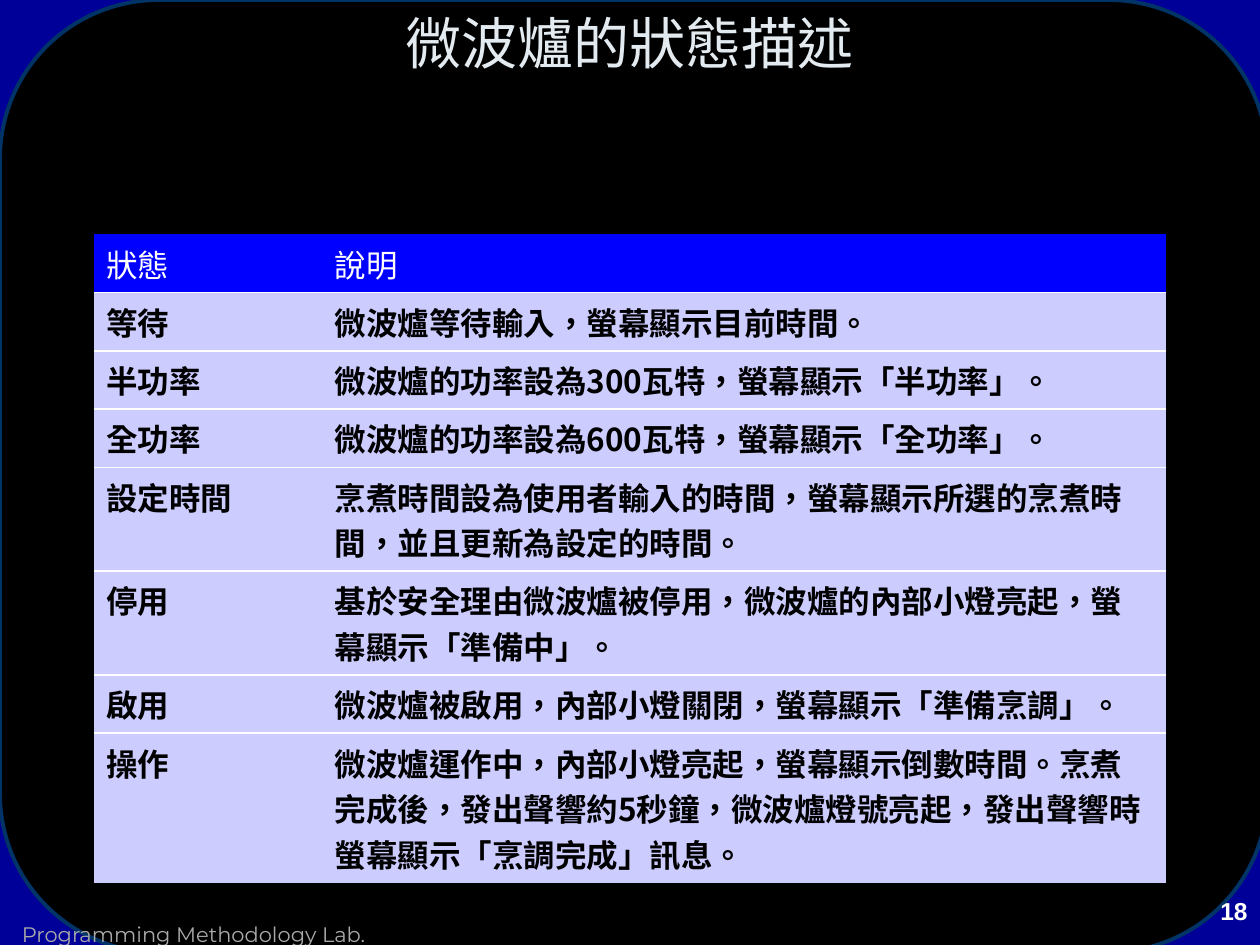
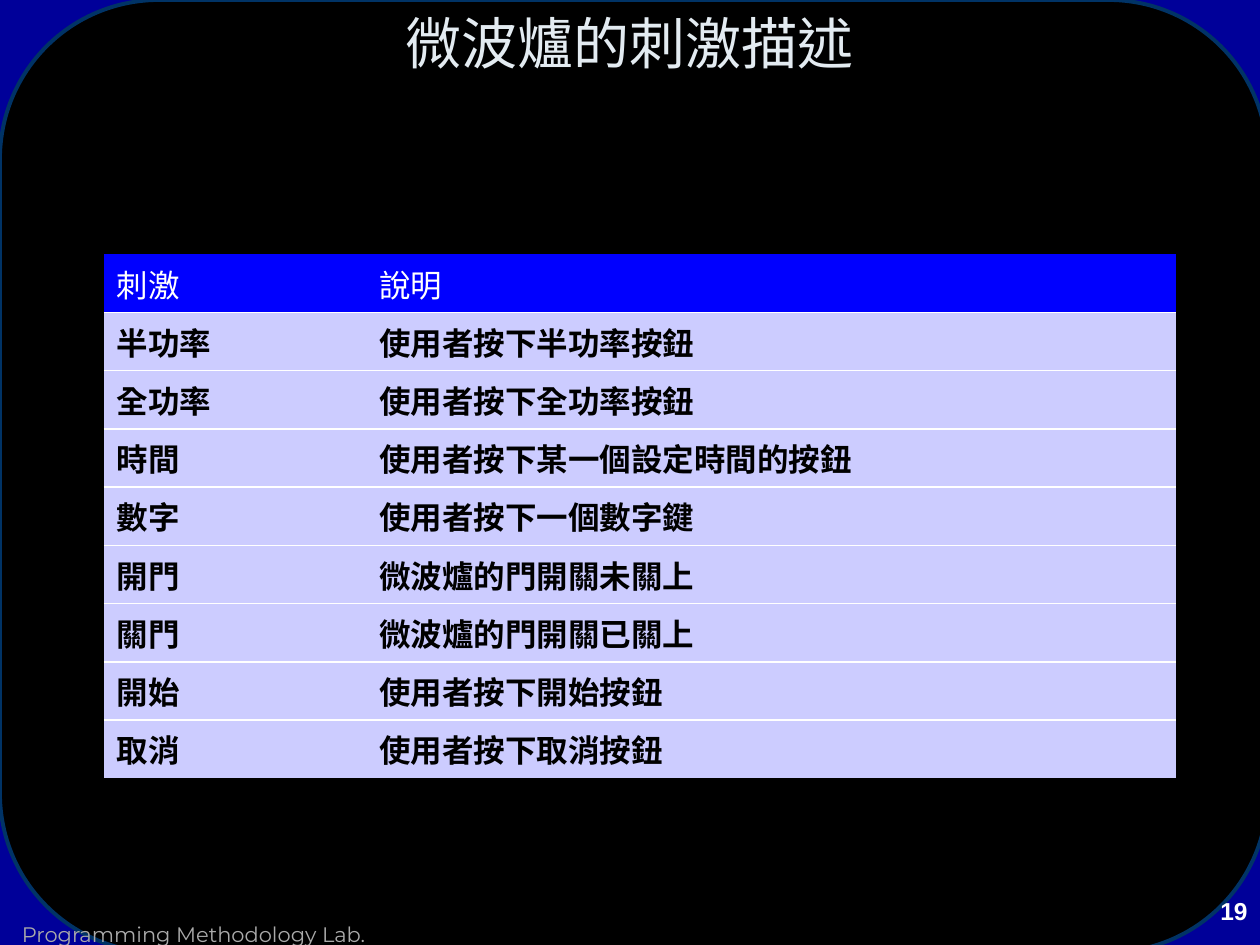
from dataclasses import dataclass

from lxml.etree import SubElement
from pptx import Presentation
from pptx.dml.color import RGBColor
from pptx.enum.lang import MSO_LANGUAGE_ID
from pptx.enum.shapes import MSO_SHAPE
from pptx.enum.text import MSO_ANCHOR, MSO_AUTO_SIZE, PP_ALIGN
from pptx.oxml.ns import qn
from pptx.util import Inches, Pt

SLIDE_WIDTH = Inches(10)
SLIDE_HEIGHT = Inches(7.5)
COLORS = {
    "background": "000099",
    "panel": "000000",
    "panel_line": "003366",
    "title": "E3EBF1",
    "header": "0000FF",
    "body": "CCCCFF",
    "light": "FFFFFF",
    "dark": "000000",
    "footer": "AAAAAA",
}
CHINESE_FONT = "Noto Sans CJK SC"
PLAIN_TABLE_STYLE = "{2D5ABB26-0587-4C30-8999-92F81FD0307C}"


@dataclass
class Box:
    left: float
    top: float
    width: float
    height: float

    def lengths(self):
        return (
            round(SLIDE_WIDTH * self.left / 100),
            round(SLIDE_HEIGHT * self.top / 100),
            round(SLIDE_WIDTH * self.width / 100),
            round(SLIDE_HEIGHT * self.height / 100),
        )


PANEL_BOX = Box(0, 0, 100.6, 100.8)
FOOTER_BOX = Box(0.75, 96.9, 32, 3.2)
TITLE_BOX = Box(2.5, 0, 95, 8.93)
NUMBER_BOX = Box(76.7, 94.13, 23.3, 6.93)


def color(name):
    return RGBColor.from_string(COLORS[name])


def add_text(paragraph, text, size, font_name, color_name, bold=False):
    run = paragraph.add_run()
    run.text = text
    font = run.font
    font.size = Pt(size)
    font.name = font_name
    font.bold = bold
    font.color.rgb = color(color_name)
    if not text.isascii():
        font.language_id = MSO_LANGUAGE_ID.TRADITIONAL_CHINESE
        properties = run._r.get_or_add_rPr()
        SubElement(properties, qn("a:ea"), typeface=CHINESE_FONT)
    return run


def add_panel(slide, box):
    panel = slide.shapes.add_shape(MSO_SHAPE.FLOWCHART_ALTERNATE_PROCESS, *box.lengths())
    panel.shadow.inherit = False
    panel.fill.solid()
    panel.fill.fore_color.rgb = color("panel")
    panel.line.color.rgb = color("panel_line")
    panel.line.width = Pt(2.24)
    return panel


def add_footer(slide, box):
    footer = slide.shapes.add_textbox(*box.lengths())
    footer.text_frame.word_wrap = False
    paragraph = footer.text_frame.paragraphs[0]
    paragraph.alignment = PP_ALIGN.LEFT
    run = add_text(paragraph, "Programming Methodology Lab.", 12, "Montserrat", "footer")
    run.font.fill.gradient()
    run.font.fill.gradient_angle = 270
    for stop, name in zip(run.font.fill.gradient_stops, ("footer", "light")):
        stop.color.rgb = color(name)
    return footer


def decorate_layout(layout, slide):
    layout.background.fill.solid()
    layout.background.fill.fore_color.rgb = color("background")
    tree = layout.shapes.element
    for placeholder in list(layout.placeholders)[1:]:
        tree.remove(placeholder.element)
    tree.insert(2, add_panel(slide, PANEL_BOX).element)
    tree.append(add_footer(slide, FOOTER_BOX).element)


def place_title(slide, box, text, font_name):
    title = slide.shapes.title
    title.left, title.top, title.width, title.height = box.lengths()
    frame = title.text_frame
    frame.auto_size = MSO_AUTO_SIZE.NONE
    frame.vertical_anchor = MSO_ANCHOR.MIDDLE
    paragraph = frame.paragraphs[0]
    paragraph.alignment = PP_ALIGN.CENTER
    add_text(paragraph, text, 32, font_name, "title")


def add_number(slide, box, number):
    frame = slide.shapes.add_textbox(*box.lengths()).text_frame
    frame.word_wrap = True
    paragraph = frame.paragraphs[0]
    paragraph.alignment = PP_ALIGN.RIGHT
    add_text(paragraph, str(number), 14, "Arial", "light", bold=True)


def add_border(properties, side):
    line = SubElement(properties, qn(f"a:{side}"), w=str(Pt(0.96)))
    fill = SubElement(line, qn("a:solidFill"))
    SubElement(fill, qn("a:srgbClr"), val=COLORS["light"])


def fill_cell(cell, text, font_name, is_header, is_last):
    properties = cell._tc.get_or_add_tcPr()
    if not is_header:
        add_border(properties, "lnT")
    if not is_last:
        add_border(properties, "lnB")
    cell.fill.solid()
    cell.fill.fore_color.rgb = color("header" if is_header else "body")
    add_text(
        cell.text_frame.paragraphs[0], text, 18, font_name,
        "light" if is_header else "dark", bold=not is_header,
    )


def add_description_table(slide, box, first_share, row_units, font_name, rows):
    left, top, width, height = box.lengths()
    graphic_frame = slide.shapes.add_table(len(rows), 2, left, top, width, height)
    table = graphic_frame.table
    table.first_row = False
    table.horz_banding = False
    next(graphic_frame.element.iter(qn("a:tableStyleId"))).text = PLAIN_TABLE_STYLE
    table.columns[0].width = round(width * first_share / 100)
    table.columns[1].width = width - table.columns[0].width
    for index, (texts, units) in enumerate(zip(rows, row_units)):
        table.rows[index].height = round(height * units / sum(row_units))
        for column, text in enumerate(texts):
            fill_cell(table.cell(index, column), text, font_name,
                      index == 0, index == len(rows) - 1)


def build_slide(slide, number, title, title_font, table):
    place_title(slide, TITLE_BOX, title, title_font)
    add_description_table(slide, **table)
    add_number(slide, NUMBER_BOX, number)


STATE_ROWS = [
    ("狀態", "說明"),
    ("等待", "微波爐等待輸入，螢幕顯示目前時間。"),
    ("半功率", "微波爐的功率設為300瓦特，螢幕顯示「半功率」。"),
    ("全功率", "微波爐的功率設為600瓦特，螢幕顯示「全功率」。"),
    ("設定時間", "烹煮時間設為使用者輸入的時間，螢幕顯示所選的烹煮時間，並且更新為設定的時間。"),
    ("停用", "基於安全理由微波爐被停用，微波爐的內部小燈亮起，螢幕顯示「準備中」。"),
    ("啟用", "微波爐被啟用，內部小燈關閉，螢幕顯示「準備烹調」。"),
    ("操作", "微波爐運作中，內部小燈亮起，螢幕顯示倒數時間。烹煮完成後，發出聲響約5秒鐘，"
             "微波爐燈號亮起，發出聲響時螢幕顯示「烹調完成」訊息。"),
]
STIMULUS_ROWS = [
    ("刺激", "說明"),
    ("半功率", "使用者按下半功率按鈕"),
    ("全功率", "使用者按下全功率按鈕"),
    ("時間", "使用者按下某一個設定時間的按鈕"),
    ("數字", "使用者按下一個數字鍵"),
    ("開門", "微波爐的門開關未關上"),
    ("關門", "微波爐的門開關已關上"),
    ("開始", "使用者按下開始按鈕"),
    ("取消", "使用者按下取消按鈕"),
]
SLIDES = [
    ("微波爐的狀態描述", CHINESE_FONT, dict(
        box=Box(7.45, 24.8, 85.1, 60.4), first_share=21.3,
        row_units=[0.42, 0.42, 0.42, 0.42, 0.7, 0.7, 0.42, 1],
        font_name=CHINESE_FONT, rows=STATE_ROWS)),
    ("微波爐的刺激描述", "Montserrat", dict(
        box=Box(8.25, 26.9, 85.05, 51.5), first_share=24.5, row_units=[1] * 9,
        font_name="Times New Roman", rows=STIMULUS_ROWS)),
]

presentation = Presentation()
presentation.slide_width = SLIDE_WIDTH
presentation.slide_height = SLIDE_HEIGHT
title_only = presentation.slide_layouts[5]
for number, (title, title_font, table) in enumerate(SLIDES, start=18):
    slide = presentation.slides.add_slide(title_only)
    if number == 18:
        decorate_layout(title_only, slide)
    build_slide(slide, number, title, title_font, table)
presentation.save("out.pptx")
